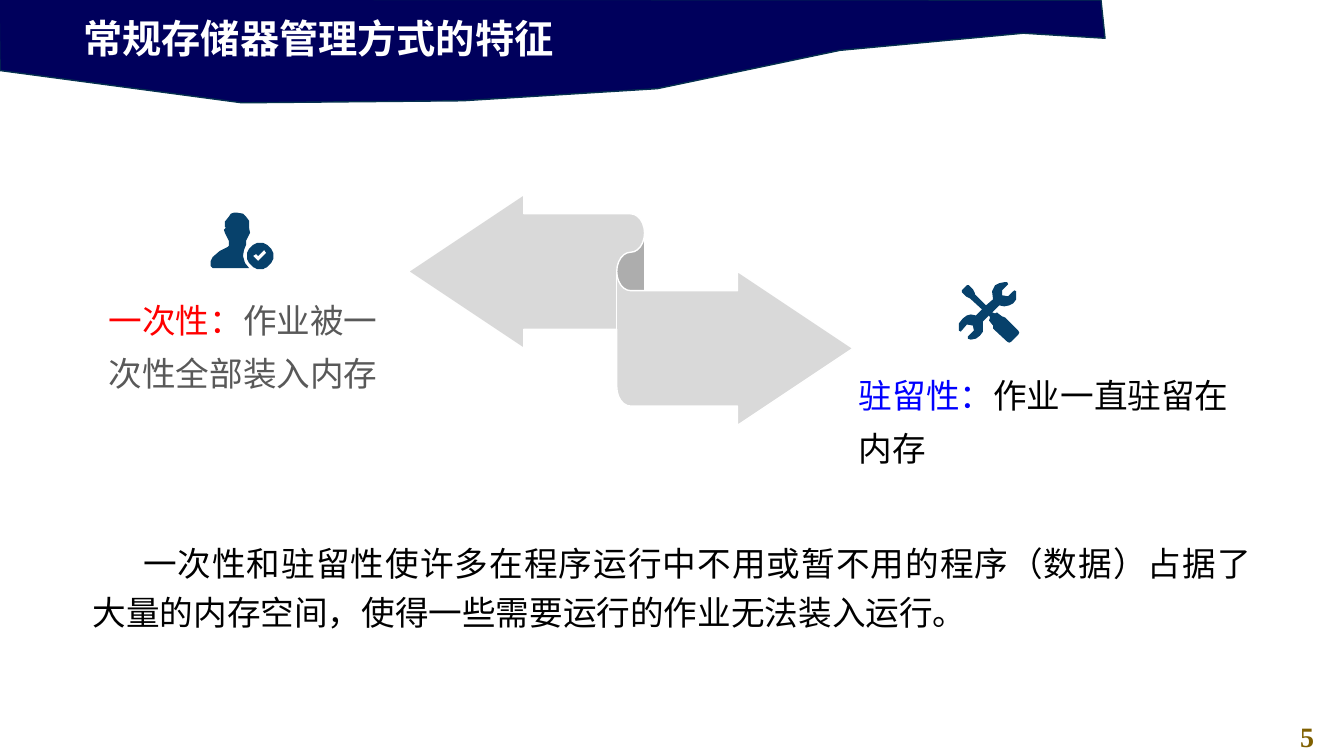
from math import cos, sin, tau
from lxml.etree import SubElement
from pptx import Presentation
from pptx.dml.color import RGBColor
from pptx.enum.shapes import MSO_SHAPE as Shape
from pptx.enum.text import PP_ALIGN as Align
from pptx.oxml.ns import qn
from pptx.util import Pt

PX = 9144
SIZE = 1333, 750
FONT = "Times New Roman"
NAVY, TEAL, GRAY = "00005C", "07416B", "D9D9D9"

BAND = [(-1, -1), (0, 70), (240, 102), (459, 100), (652, 88), (833, 50),
        (1015, 33), (1096, 38), (1092, 0)]
USER = [(235, 211), (241, 212), (244, 215), (247, 219), (247, 226), (248, 231),
        (246, 235), (244, 239), (244, 243), (242, 248), (241, 254), (243, 261),
        (247, 266), (211, 266), (209, 264), (209, 259), (211, 255), (218, 249),
        (226, 245), (227, 244), (227, 239), (225, 235), (223, 231), (222, 228),
        (224, 226), (223, 225), (223, 220), (227, 215), (229, 212), (232, 211)]
TICK = [(262, 248), (256, 254), (254, 252), (251, 254), (256, 259), (264, 251)]
HUB, RADIUS, STEPS = (258, 254), 13, 32
TOOLS = [(1010, 328), (997, 315), (994, 314), (990, 311), (989, 310), (987, 311),
         (984, 310), (991, 303), (996, 304), (1001, 303), (1005, 301), (1008, 297),
         (1008, 289), (1006, 288), (1000, 294), (994, 293), (994, 288), (1000, 282),
         (999, 280), (996, 280), (991, 281), (987, 283), (984, 289), (985, 297),
         (978, 303), (967, 292), (967, 291), (965, 287), (961, 283), (959, 283),
         (954, 288), (954, 290), (958, 294), (962, 296), (974, 307), (968, 313),
         (963, 312), (959, 313), (955, 316), (951, 321), (951, 328), (953, 329),
         (959, 322), (965, 323), (966, 328), (960, 334), (960, 336), (963, 337),
         (968, 336), (972, 333), (975, 329), (975, 319), (981, 313), (982, 315),
         (981, 318), (985, 323), (985, 326), (999, 339), (1001, 340), (1003, 339),
         (1010, 332), (1011, 330)]
RIBBON = 405, 193, 441, 229
CURL = 0.5, 0.5, 0.333

TEXTS = [
    ((1260, 709, 73, 44), [("5", "806000")],
     dict(size=20, bold=True, align=Align.CENTER)),
    ((73, 9, 768, 57), [("常规存储器管理方式的特征", "FFFFFF")],
     dict(size=28, bold=True)),
    ((98, 280, 307, 189),
     [("一次性：", "FF0000"), ("作业被一次性全部装入内存", "595959")],
     dict(space=1.32)),
    ((842, 354, 416, 115),
     [("驻留性：", "0000FF"), ("作业一直驻留在内存", "000000")],
     dict(space=1.32)),
    ((82, 524, 1169, 105),
     [("一次性和驻留性使许多在程序运行中不用或暂不用的程序（数据）"
       "占据了大量的内存空间，使得一些需要运行的作业无法装入运行。", "000000")],
     dict(space=1.23, align=Align.JUSTIFY, indent=50, after=6)),
]


def rgb(code):
    """Turn a hex string into a colour."""
    return RGBColor.from_string(code)


def paint(shape, fill, line=None):
    """Set fill and outline and drop the shadow."""
    shape.shadow.inherit = False
    shape.fill.solid()
    shape.fill.fore_color.rgb = rgb(fill)
    if line:
        shape.line.color.rgb = rgb(line)
        shape.line.width = Pt(1)
    else:
        shape.line.fill.background()


def draw(slide, loops, fill, line=None):
    """Draw closed loops of points as one shape."""
    pen = slide.shapes.build_freeform(*loops[0][0], scale=PX)
    for i, loop in enumerate(loops):
        if i:
            pen.move_to(*loop[0])
        pen.add_line_segments(loop[1:], close=True)
    paint(pen.convert_to_shape(), fill, line)


def write(slide, area, runs, size=24, bold=False, align=Align.LEFT,
          space=None, indent=0, after=0):
    """Place one paragraph of coloured runs."""
    frame = slide.shapes.add_textbox(*(v * PX for v in area)).text_frame
    frame.word_wrap = True
    para = frame.paragraphs[0]
    para.alignment = align
    if space:
        para.line_spacing = space
    if after:
        para.space_after = Pt(after)
    if indent:
        para._p.get_or_add_pPr().set("indent", str(indent * PX))
    for text, color in runs:
        run = para.add_run()
        run.text = text
        font = run.font
        font.name, font.size, font.bold = FONT, Pt(size), bold
        font.color.rgb = rgb(color)
        SubElement(run._r.get_or_add_rPr(), qn("a:cs")).set("typeface", FONT)


def main():
    """Build and save the slide."""
    deck = Presentation()
    deck.slide_width, deck.slide_height = (v * PX for v in SIZE)
    slide = deck.slides.add_slide(deck.slide_layouts[6])
    draw(slide, [BAND], NAVY, "05304F")
    badge = [(HUB[0] + RADIUS * cos(tau * i / STEPS),
              HUB[1] + RADIUS * sin(tau * i / STEPS)) for i in range(STEPS)]
    draw(slide, [USER, badge, TICK], TEAL)
    draw(slide, [TOOLS], TEAL)
    ribbon = slide.shapes.add_shape(Shape.LEFT_RIGHT_RIBBON,
                                    *(v * PX for v in RIBBON))
    paint(ribbon, GRAY, "FFFFFF")
    for i, value in enumerate(CURL):
        ribbon.adjustments[i] = value
    for area, runs, style in TEXTS:
        write(slide, area, runs, **style)
    deck.save("out.pptx")


if __name__ == "__main__":
    main()
